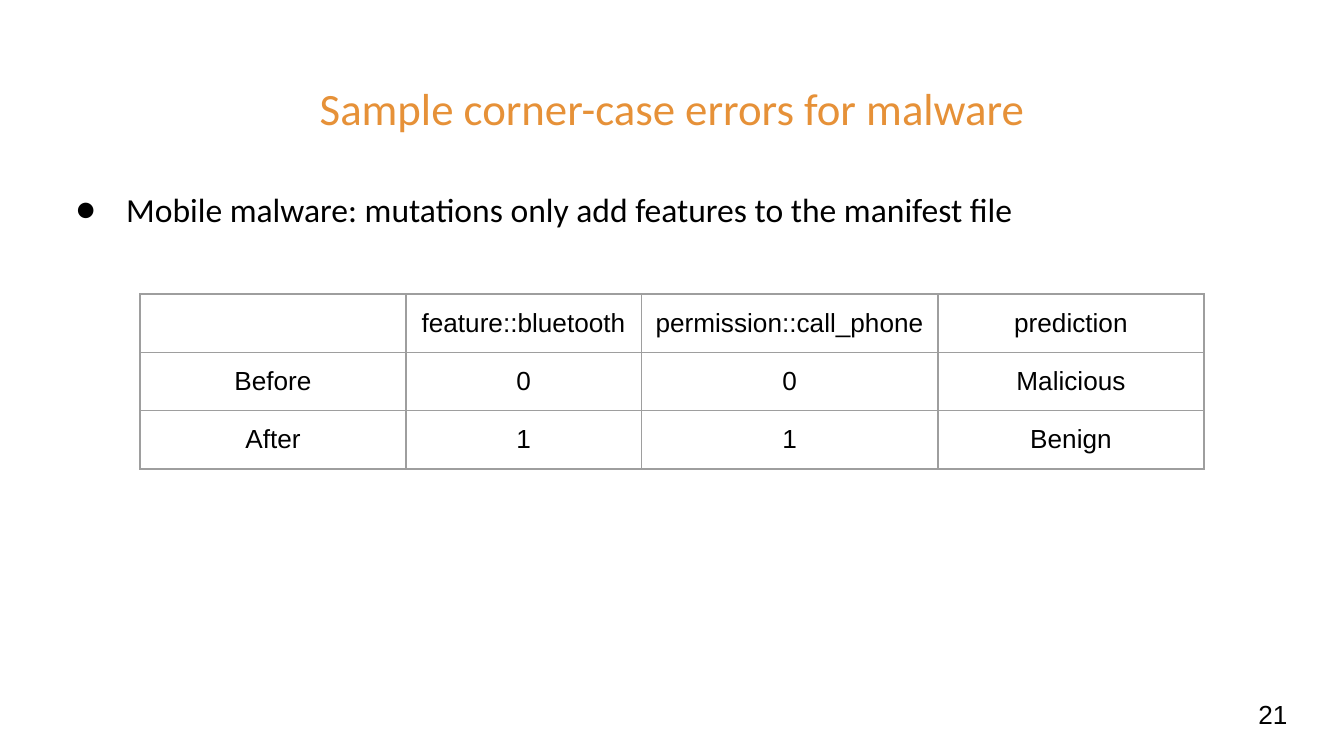
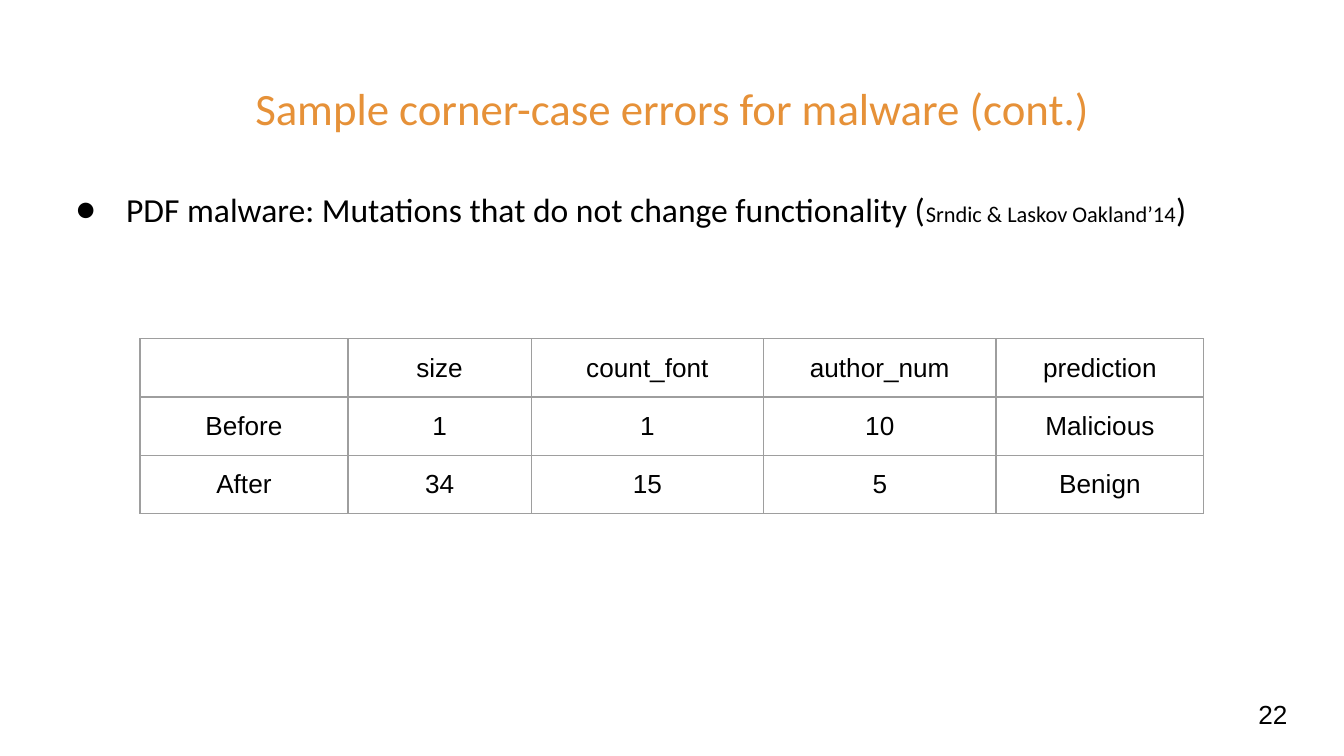
import pptx
import pptx.util
import pptx.dml.color
import pptx.enum.text
import pptx.oxml.ns
from lxml import etree

Pt = pptx.util.Pt
qn = pptx.oxml.ns.qn
RGBColor = pptx.dml.color.RGBColor
PP_ALIGN = pptx.enum.text.PP_ALIGN
MSO_ANCHOR = pptx.enum.text.MSO_ANCHOR

ORANGE = RGBColor(0xE6, 0x91, 0x38)
BLACK = RGBColor(0x00, 0x00, 0x00)
GREY = RGBColor(0x9E, 0x9E, 0x9E)
WHITE = RGBColor(0xFF, 0xFF, 0xFF)
INSET = Pt(7.2)
ROW_HEIGHT = 30

SLIDES = [
    {
        "title": "Sample corner-case errors for malware",
        "point": [("Mobile malware: mutations only add features to the manifest file", 18)],
        "point_gap": 16,
        "number": "21",
        "table_top": 157.5,
        "widths": [142.5, 126, 159, 142.5],
        "rows": [
            ["", "feature::bluetooth", "permission::call_phone", "prediction"],
            ["Before", "0", "0", "Malicious"],
            ["After", "1", "1", "Benign"],
        ],
    },
    {
        "title": "Sample corner-case errors for malware (cont.)",
        "point": [
            ("PDF malware: Mutations that do not change functionality (", 18),
            ("Srndic & Laskov Oakland’14", 12),
            (")", 18),
        ],
        "point_gap": 3,
        "number": "22",
        "table_top": 181.5,
        "widths": [111.4, 98.2, 124.5, 124.5, 111.4],
        "rows": [
            ["", "size", "count_font", "author_num", "prediction"],
            ["Before", "1", "1", "10", "Malicious"],
            ["After", "34", "15", "5", "Benign"],
        ],
    },
]


def write(frame, runs, font="Arial", color=BLACK, align=PP_ALIGN.LEFT):
    paragraph = frame.paragraphs[0]
    paragraph.alignment = align
    for text, size in runs:
        if text:
            run = paragraph.add_run()
            run.text = text
            run.font.size = Pt(size)
            run.font.name = font
            run.font.color.rgb = color
    etree.SubElement(paragraph._p, qn("a:endParaRPr"), sz=str(runs[-1][1] * 100))
    return paragraph


def add_frame(slide, left, top, width, height, anchor=MSO_ANCHOR.MIDDLE):
    frame = slide.shapes.add_textbox(Pt(left), Pt(top), Pt(width), Pt(height)).text_frame
    frame.word_wrap = True
    frame.vertical_anchor = anchor
    frame.margin_left = frame.margin_right = INSET
    frame.margin_top = frame.margin_bottom = INSET
    return frame


deck = pptx.Presentation()
deck.slide_width = Pt(720)
deck.slide_height = Pt(405)

for content in SLIDES:
    slide = deck.slides.add_slide(deck.slide_layouts[6])
    slide.background.fill.solid()
    slide.background.fill.fore_color.rgb = WHITE

    title = add_frame(slide, 24.5, 35, 671, 45.4)
    write(title, [(content["title"], 24)], font="Calibri", color=ORANGE, align=PP_ALIGN.CENTER)

    body = add_frame(slide, 24.5, 90.7, 671, 269.3, anchor=MSO_ANCHOR.TOP)
    point = write(body, content["point"], font="Calibri")
    point.line_spacing = 1.15
    point.space_after = Pt(content["point_gap"])
    point_format = point._p.get_or_add_pPr()
    point_format.set("marL", str(Pt(36)))
    point_format.set("indent", str(Pt(-27)))
    bullet_color = etree.SubElement(point_format, qn("a:buClr"))
    etree.SubElement(bullet_color, qn("a:srgbClr"), val=str(BLACK))
    etree.SubElement(point_format, qn("a:buFont"), typeface="Calibri")
    etree.SubElement(point_format, qn("a:buChar"), char="●")

    write(add_frame(slide, 667.1, 367.2, 43.2, 31), [(content["number"], 14)])

    rows, widths = content["rows"], content["widths"]
    predictions = slide.shapes.add_table(
        len(rows), len(widths), Pt(75), Pt(content["table_top"]),
        Pt(sum(widths)), Pt(ROW_HEIGHT * len(rows)),
    ).table
    predictions.first_row = False
    predictions.horz_banding = False
    for column, width in zip(predictions.columns, widths):
        column.width = Pt(width)

    for row_index, row in enumerate(rows):
        predictions.rows[row_index].height = Pt(ROW_HEIGHT)
        for column_index, text in enumerate(row):
            cell = predictions.cell(row_index, column_index)
            cell.margin_left = cell.margin_right = INSET
            cell.margin_top = cell.margin_bottom = INSET
            cell.vertical_anchor = MSO_ANCHOR.MIDDLE
            write(cell.text_frame, [(text, 14)], align=PP_ALIGN.CENTER)
            for side in ("L", "R", "T", "B"):
                border = etree.SubElement(
                    cell._tc.get_or_add_tcPr(), qn("a:ln" + side), w=str(Pt(0.75))
                )
                border_fill = etree.SubElement(border, qn("a:solidFill"))
                etree.SubElement(border_fill, qn("a:srgbClr"), val=str(GREY))
            cell.fill.background()

deck.save("out.pptx")
